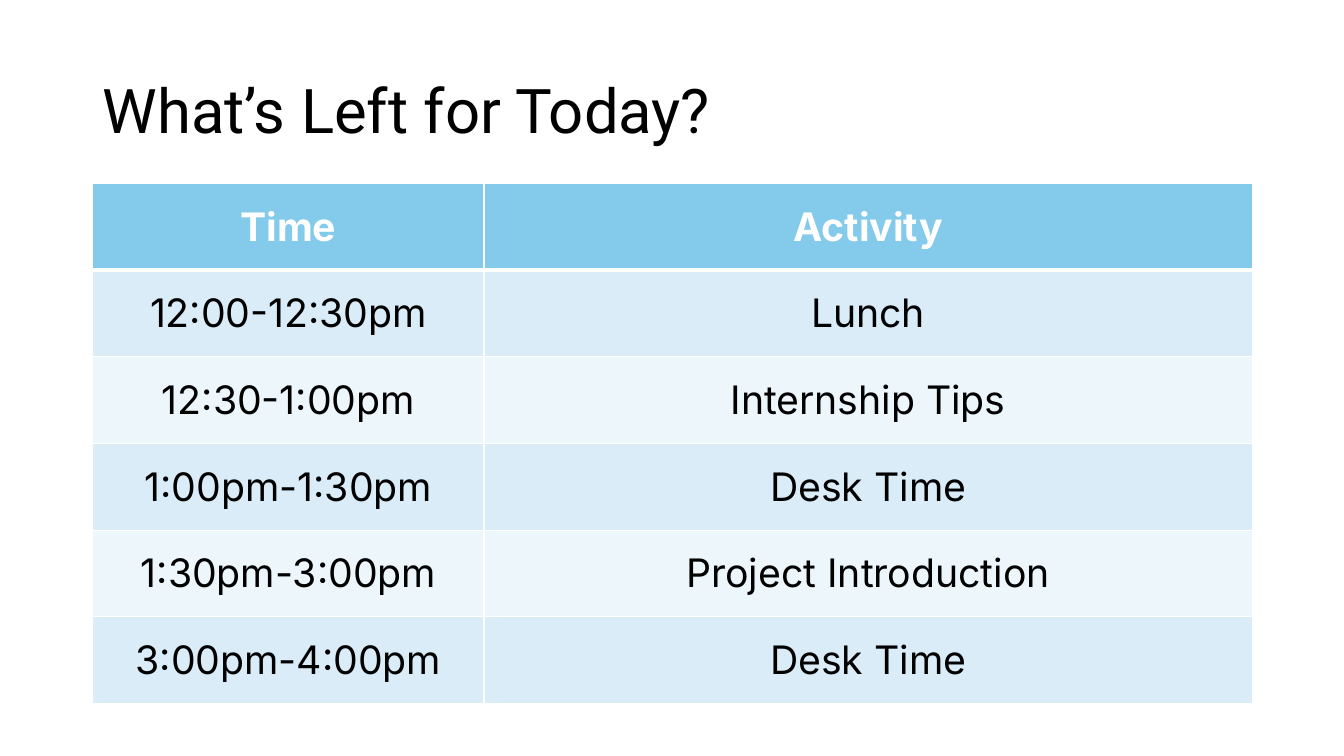
from lxml.etree import SubElement
from pptx import Presentation
from pptx.dml.color import RGBColor
from pptx.enum.text import MSO_ANCHOR as Anchor, MSO_AUTO_SIZE as Fit, PP_ALIGN as Align
from pptx.oxml.ns import qn
from pptx.util import Inches, Pt

WIDE, HIGH = 13.33, 7.5
LEFT, SPAN = 0.92, 11.5
TOP, ROW = 1.82, 0.86
COLS = (3.88, 7.62)
HEAD, BANDS = "83CAEB", ("D9ECF7", "EDF6FB")
WHITE, BLACK = "FFFFFF", "000000"
PLAN = (
    ("Time", "Activity"),
    ("12:00-12:30pm", "Lunch"),
    ("12:30-1:00pm", "Internship Tips"),
    ("1:00pm-1:30pm", "Desk Time"),
    ("1:30pm-3:00pm", "Project Introduction"),
    ("3:00pm-4:00pm", "Desk Time"),
)


def paint(target, color):
    target.rgb = RGBColor.from_string(color)


def style(para, name, size, color, align, bold=False):
    para.alignment = align
    font = para.font
    font.name, font.size, font.bold = name, Pt(size), bold
    paint(font.color, color)


def add_title(slide, text):
    title = slide.shapes.title
    title.left, title.top = Inches(LEFT), Inches(0.4)
    title.width, title.height = Inches(SPAN), Inches(1.45)
    frame = title.text_frame
    frame.text = text
    frame.word_wrap, frame.auto_size = True, Fit.NONE
    frame.vertical_anchor = Anchor.MIDDLE
    para = frame.paragraphs[0]
    para.line_spacing = 0.9
    style(para, "Roboto", 44, BLACK, Align.LEFT)


def add_edges(cell, top, base):
    """Draw white cell borders, with top and base widths in points."""
    props = cell._tc.get_or_add_tcPr()
    for side, width in (("L", 1), ("R", 1), ("T", top), ("B", base)):
        line = SubElement(props, qn(f"a:ln{side}"), w=str(Pt(width)))
        fill = SubElement(line, qn("a:solidFill"))
        SubElement(fill, qn("a:srgbClr"), val=WHITE)


def fill_cell(cell, text, row):
    head = row == 0
    add_edges(cell, 3 if row == 1 else 1, 3 if head else 1)
    cell.fill.solid()
    paint(cell.fill.fore_color, HEAD if head else BANDS[(row - 1) % 2])
    cell.text = text
    cell.vertical_anchor = Anchor.MIDDLE
    style(cell.text_frame.paragraphs[0], "Inter", 28,
          WHITE if head else BLACK, Align.CENTER, head)


def add_plan(slide, plan):
    table = slide.shapes.add_table(
        len(plan), len(COLS), Inches(LEFT), Inches(TOP),
        Inches(SPAN), Inches(ROW * len(plan))).table
    for col, width in zip(table.columns, COLS):
        col.width = Inches(width)
    for row, texts in enumerate(plan):
        table.rows[row].height = Inches(ROW)
        for col, text in enumerate(texts):
            fill_cell(table.cell(row, col), text, row)


def main():
    deck = Presentation()
    deck.slide_width, deck.slide_height = Inches(WIDE), Inches(HIGH)
    slide = deck.slides.add_slide(deck.slide_layouts[5])
    add_title(slide, "What’s Left for Today?")
    add_plan(slide, PLAN)
    deck.save("out.pptx")


if __name__ == "__main__":
    main()
